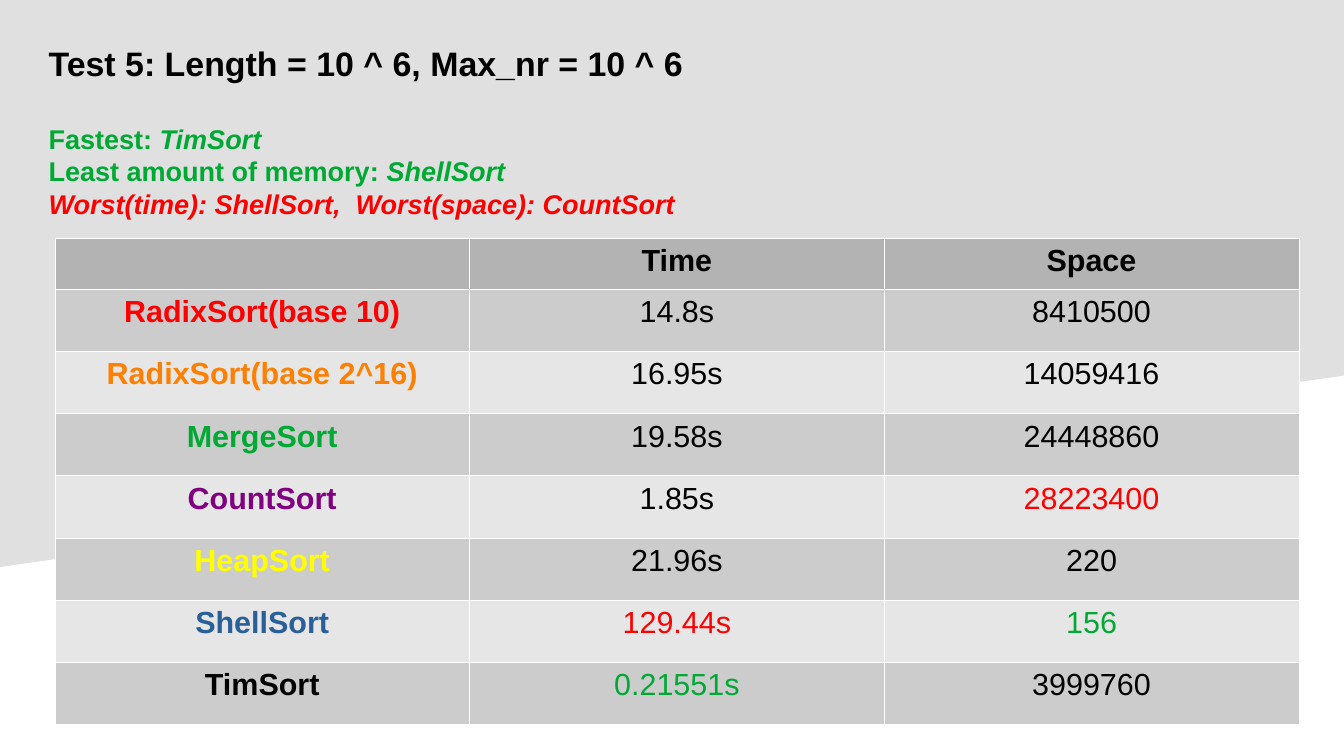
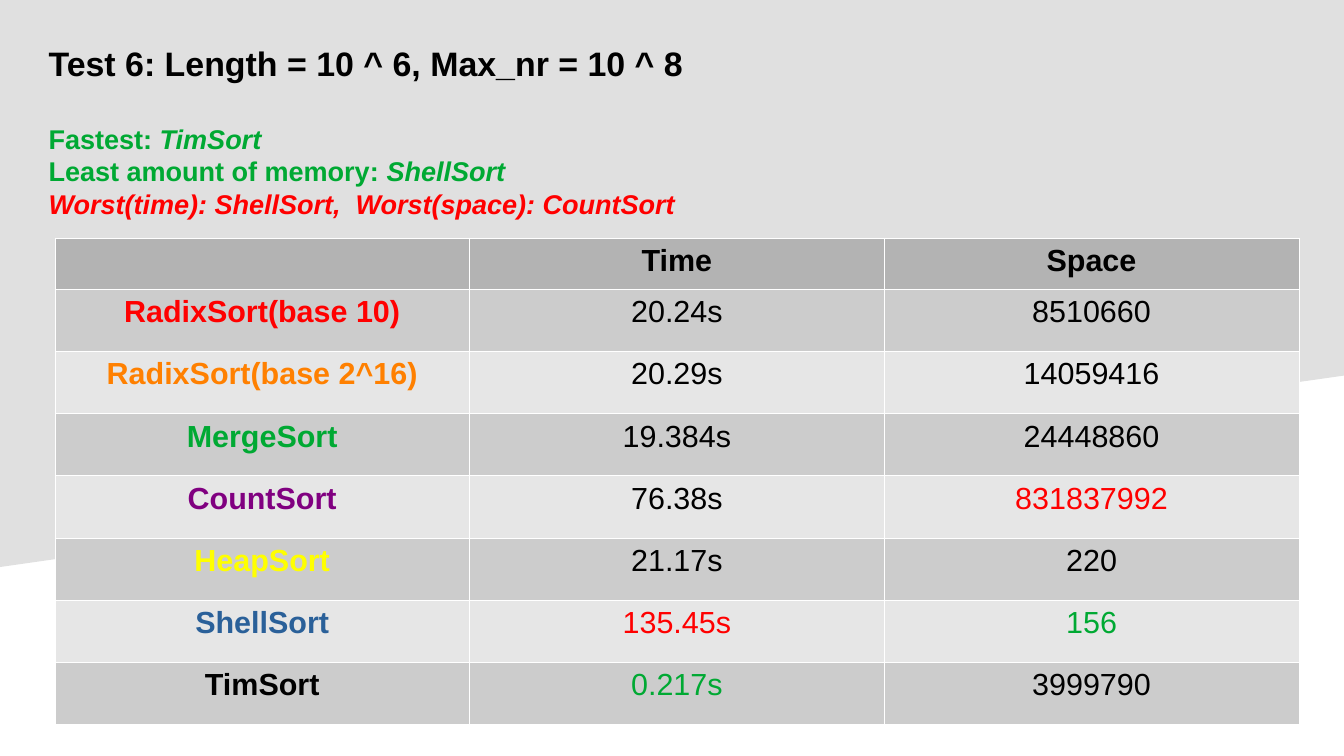
from lxml.etree import SubElement
from pptx import Presentation
from pptx.dml.color import RGBColor
from pptx.enum.text import PP_ALIGN
from pptx.oxml.ns import qn
from pptx.util import Inches, Pt

WIDTH, HEIGHT = 11.02, 6.2
COLORS = {
    "black": "000000", "white": "FFFFFF", "red": "FF0000", "green": "00A933",
    "orange": "FF8000", "purple": "800080", "yellow": "FFFF00", "blue": "2A6099",
    "back": "E0E0E0", "head": "B3B3B3", "dark": "CCCCCC", "light": "E6E6E6",
}
SORTS = {
    "RadixSort(base 10)": "red", "RadixSort(base 2^16)": "orange",
    "MergeSort": "green", "CountSort": "purple", "HeapSort": "yellow",
    "ShellSort": "blue", "TimSort": "black",
}
TESTS = [
    ("Test 5: Length = 10 ^ 6, Max_nr = 10 ^ 6",
     ["14.8", "16.95", "19.58", "1.85", "21.96", "129.44", "0.21551"],
     ["8410500", "14059416", "24448860", "28223400", "220", "156", "3999760"]),
    ("Test 6: Length = 10 ^ 6, Max_nr = 10 ^ 8",
     ["20.24", "20.29", "19.384", "76.38", "21.17", "135.45", "0.217"],
     ["8510660", "14059416", "24448860", "831837992", "220", "156", "3999790"]),
]


def tint(name):
    return RGBColor.from_string(COLORS[name])


def write(para, text, size=16, color="black", bold=True, italic=False):
    run = para.add_run()
    run.text = text
    font = run.font
    font.name, font.size = "Arial", Pt(size)
    font.bold, font.italic = bold, italic
    font.color.rgb = tint(color)


def add_back(slide):
    form = slide.shapes.build_freeform(0, 0, scale=Inches(0.01))
    form.add_line_segments([(1102, 0), (1102, 308), (0, 465)], close=True)
    shape = form.convert_to_shape()
    shape.shadow.inherit = False
    shape.fill.solid()
    shape.fill.fore_color.rgb = tint("back")
    shape.line.fill.background()


def add_notes(slide, title, times, sizes):
    names = list(SORTS)

    def pick(rule, values):
        return names[values.index(rule(values, key=float))]

    box = slide.shapes.add_textbox(
        Inches(0.3), Inches(0.3), Inches(WIDTH - 0.3), Inches(HEIGHT - 0.3))
    frame = box.text_frame
    frame.word_wrap = True
    write(frame.paragraphs[0], title, size=20)
    facts = [("Fastest: ", pick(min, times)),
             ("Least amount of memory: ", pick(min, sizes))]
    for row, (label, name) in enumerate(facts):
        para = frame.add_paragraph()
        para.space_before = Pt(0 if row else 23)
        write(para, label, color="green")
        write(para, name, color="green", italic=True)
    worst = f"Worst(time): {pick(max, times)},  Worst(space): {pick(max, sizes)}"
    write(frame.add_paragraph(), worst, color="red", italic=True)


def add_lines(cell):
    props = cell._tc.get_or_add_tcPr()
    for side in ("a:lnL", "a:lnR", "a:lnT", "a:lnB"):
        line = SubElement(props, qn(side), w=str(Pt(0.06)))
        fill = SubElement(line, qn("a:solidFill"))
        SubElement(fill, qn("a:srgbClr"), val=COLORS["white"])


def fill_cell(cell, text, fill, color="black", bold=False):
    add_lines(cell)
    cell.fill.solid()
    cell.fill.fore_color.rgb = tint(fill)
    para = cell.text_frame.paragraphs[0]
    para.alignment = PP_ALIGN.CENTER
    if text:
        write(para, text, size=18, color=color, bold=bold)


def rank(value, values):
    ends = {max(values, key=float): "red", min(values, key=float): "green"}
    return ends.get(value, "black")


def add_grid(slide, times, sizes):
    table = slide.shapes.add_table(
        len(SORTS) + 1, 3, Inches(0.45), Inches(1.95),
        Inches(10.2), Inches(4.01)).table
    table.first_row = table.horz_banding = False
    for row in table.rows:
        row.height = Inches(0.51)
    table.rows[0].height = Inches(0.42)
    for col, text in enumerate(["", "Time", "Space"]):
        table.columns[col].width = Inches(3.4)
        fill_cell(table.cell(0, col), text, "head", bold=True)
    data = zip(SORTS.items(), times, sizes)
    for row, ((name, color), time, size) in enumerate(data, 1):
        fill = "dark" if row % 2 else "light"
        fill_cell(table.cell(row, 0), name, fill, color, bold=True)
        fill_cell(table.cell(row, 1), f"{time}s", fill, rank(time, times))
        fill_cell(table.cell(row, 2), size, fill, rank(size, sizes))


def main():
    deck = Presentation()
    deck.slide_width, deck.slide_height = Inches(WIDTH), Inches(HEIGHT)
    for title, times, sizes in TESTS:
        slide = deck.slides.add_slide(deck.slide_layouts[6])
        add_back(slide)
        add_notes(slide, title, times, sizes)
        add_grid(slide, times, sizes)
    deck.save("out.pptx")


if __name__ == "__main__":
    main()
